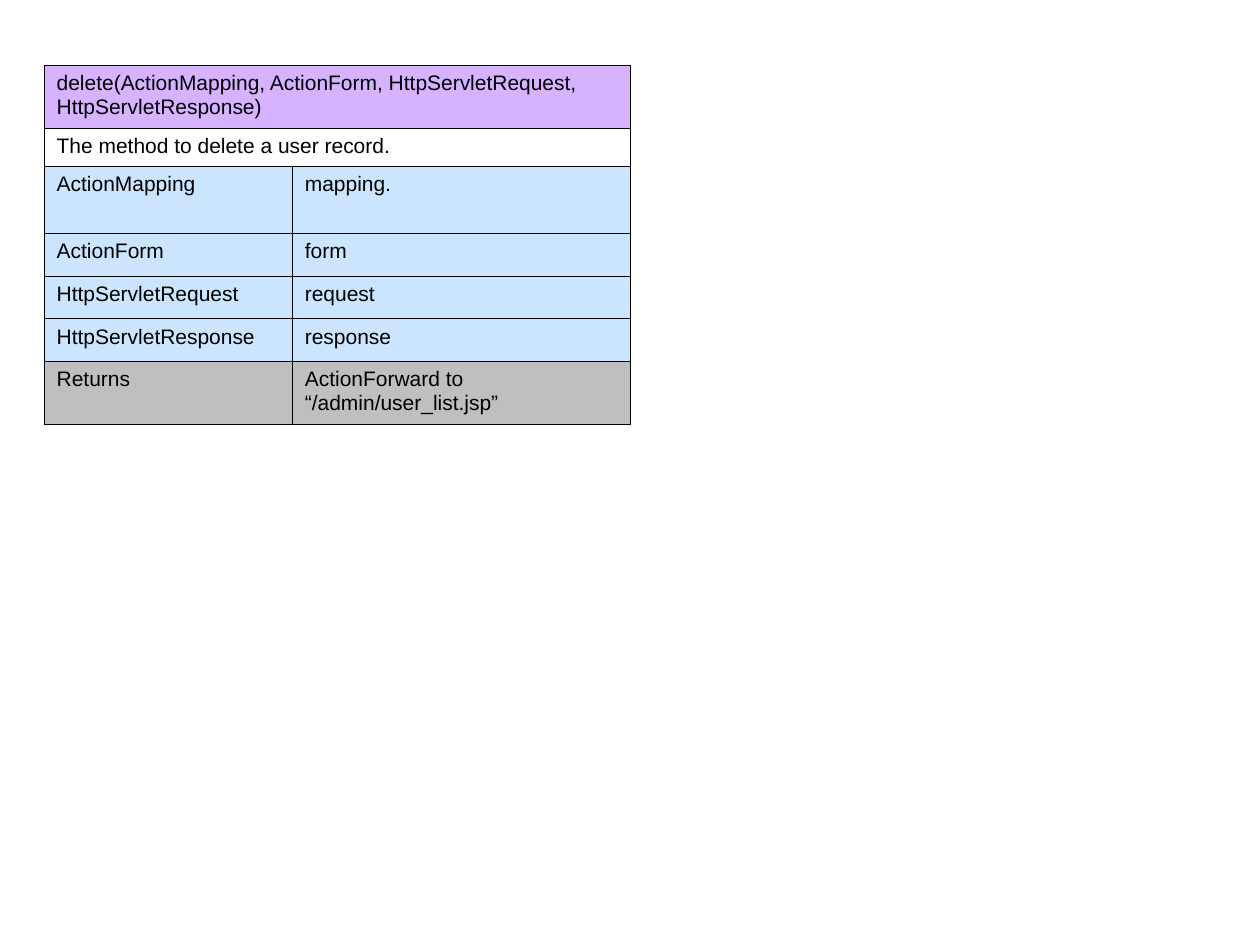
from dataclasses import dataclass
from lxml import etree
from pptx import Presentation
from pptx.dml.color import RGBColor
from pptx.oxml.ns import qn
from pptx.util import Pt


@dataclass(frozen=True)
class Theme:
    font: str = "Arial"
    size: float = 12
    text: str = "000000"
    border: str = "000000"
    border_width: float = 0.45
    signature: str = "AF67FF"
    parameter: str = "99CCFF"
    result: str = "808080"
    opacity: int = 50


theme = Theme()

BLANK_LAYOUT = 6
COLUMN_WIDTHS = (141.84, 192.96)
TABLE_LEFT, TABLE_TOP = 25.2, 37.44
ROWS = (
    (36, theme.signature, ("delete(ActionMapping, ActionForm, HttpServletRequest, HttpServletResponse)",)),
    (21.6, None, ("The method to delete a user record.",)),
    (38.4, theme.parameter, ("ActionMapping", "mapping.")),
    (24.4, theme.parameter, ("ActionForm", "form")),
    (24.4, theme.parameter, ("HttpServletRequest", "request")),
    (24.4, theme.parameter, ("HttpServletResponse", "response")),
    (36, theme.result, ("Returns", "ActionForward to “/admin/user_list.jsp”")),
)


def fill_cell(cell, color):
    if color is None:
        cell.fill.background()
        return
    cell.fill.solid()
    cell.fill.fore_color.rgb = RGBColor.from_string(color)
    tint = cell._tc.tcPr.find(f".//{qn('a:srgbClr')}")
    etree.SubElement(tint, qn("a:alpha"), val=str(theme.opacity * 1000))


def draw_borders(cell):
    properties = cell._tc.get_or_add_tcPr()
    for position, side in enumerate(("lnL", "lnR", "lnT", "lnB")):
        line = etree.Element(qn(f"a:{side}"), w=str(Pt(theme.border_width)))
        solid = etree.SubElement(line, qn("a:solidFill"))
        etree.SubElement(solid, qn("a:srgbClr"), val=theme.border)
        properties.insert(position, line)


deck = Presentation()
deck.slide_width, deck.slide_height = Pt(720), Pt(540)
page = deck.slides.add_slide(deck.slide_layouts[BLANK_LAYOUT])

frame = page.shapes.add_table(
    len(ROWS), len(COLUMN_WIDTHS), Pt(TABLE_LEFT), Pt(TABLE_TOP),
    Pt(sum(COLUMN_WIDTHS)), Pt(sum(height for height, _, _ in ROWS)),
)
table = frame.table
table.first_row = False
table.horz_banding = False

for column, width in zip(table.columns, COLUMN_WIDTHS):
    column.width = Pt(width)

for index, (height, color, texts) in enumerate(ROWS):
    table.rows[index].height = Pt(height)
    if len(texts) == 1:
        table.cell(index, 0).merge(table.cell(index, 1))
    for cell in table.rows[index].cells:
        fill_cell(cell, color)
        draw_borders(cell)
    for cell, text in zip(table.rows[index].cells, texts):
        cell.margin_left = cell.margin_right = Pt(7.2)
        cell.margin_top = cell.margin_bottom = Pt(3.6)
        cell.text = text
        para = cell.text_frame.paragraphs[0]
        para.space_before = Pt(3)
        para.font.name = theme.font
        para.font.size = Pt(theme.size)
        para.font.color.rgb = RGBColor.from_string(theme.text)

deck.save("out.pptx")
